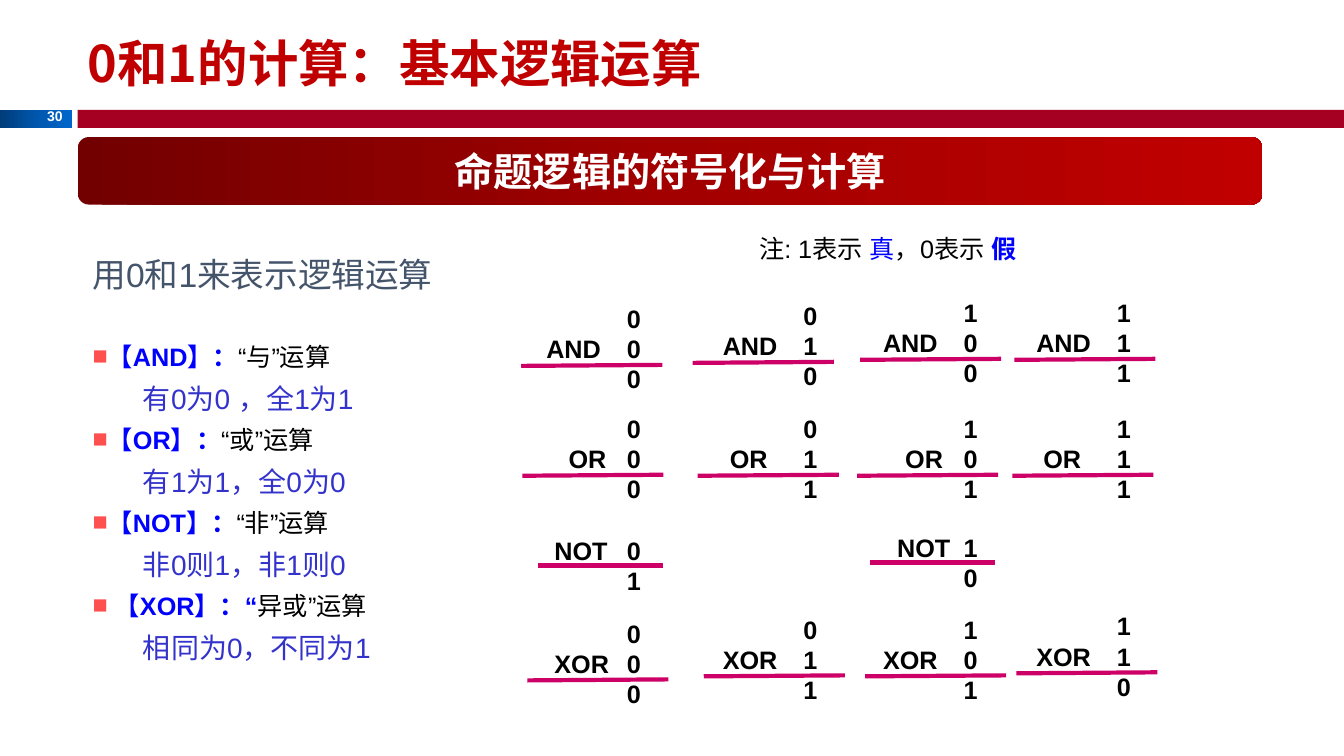
from copy import deepcopy

from lxml import etree
from pptx import Presentation
from pptx.dml.color import RGBColor
from pptx.enum.shapes import MSO_CONNECTOR, MSO_SHAPE
from pptx.enum.text import MSO_ANCHOR, MSO_AUTO_SIZE, PP_ALIGN
from pptx.oxml.ns import qn
from pptx.util import Inches, Pt

RECTANGLE, ROUNDED = MSO_SHAPE.RECTANGLE, MSO_SHAPE.ROUNDED_RECTANGLE
STRAIGHT = MSO_CONNECTOR.STRAIGHT
TOP, MIDDLE = MSO_ANCHOR.TOP, MSO_ANCHOR.MIDDLE
LEFT, CENTER, RIGHT = PP_ALIGN.LEFT, PP_ALIGN.CENTER, PP_ALIGN.RIGHT
NO_AUTOFIT = MSO_AUTO_SIZE.NONE

BLACK = RGBColor(0, 0, 0)
WHITE = RGBColor(0xFF, 0xFF, 0xFF)
RED = RGBColor(0xC0, 0, 0)
CRIMSON = RGBColor(0xA5, 0, 0x21)
BLUE = RGBColor(0, 0, 0xFF)
VIOLET = RGBColor(0x33, 0x33, 0xCC)
SLATE = RGBColor(0x44, 0x54, 0x6A)
MAGENTA = RGBColor(0xCC, 0, 0x66)
BULLET_RED = "FF5050"
BLUE_BLEND = (RGBColor(0, 0x3C, 0x79), RGBColor(0, 0x56, 0xAC), RGBColor(0, 0x66, 0xCC))
RED_BLEND = (RGBColor(0x72, 0, 0), RGBColor(0xA2, 0, 0), RED)

BODY_FONT, HEADING_FONT = "Arial", "Noto Sans CJK SC"

# Heading and rule of each operation: bold part, plain part, rule
RULES = [
    ("【AND】：", "“与”运算", "有0为0 ，全1为1"),
    ("【OR】：", "“或”运算", "有1为1，全0为0"),
    ("【NOT】：", "“非”运算", "非0则1，非1则0"),
    (" 【XOR】：“", "异或”运算", "相同为0，不同为1"),
]

# Operands and left edge of each column of calculations
COLUMNS = [(0, 0, 5.12), (0, 1, 6.87), (1, 0, 8.46), (1, 1, 9.98)]
# Operator, function, then per calculation: column, top, operator indent, line left
OPERATIONS = [
    ("AND", lambda a, b: a & b, [(0, 2.96, 0.2, 5.17), (1, 2.93, 0.2, 6.87),
                                 (2, 2.9, 0.2, 8.53), (3, 2.9, 0.2, 10.06)]),
    ("OR", lambda a, b: a | b, [(0, 4.05, 0.42, 5.18), (1, 4.05, 0.27, 6.92),
                                (2, 4.05, 0.42, 8.5), (3, 4.05, 0.27, 10.04)]),
    ("NOT", lambda a, b: 1 - a, [(0, 5.26, 0.28, 5.34), (2, 5.23, 0.34, 8.63)]),
    ("XOR", lambda a, b: a ^ b, [(0, 6.08, 0.28, 5.23), (1, 6.04, 0.2, 6.98),
                                 (2, 6.04, 0.2, 8.58), (3, 6.01, 0.2, 10.08)]),
]


def add_run(paragraph, text, size, color, bold=False, font=BODY_FONT):
    run = paragraph.add_run()
    run.text = text
    run.font.size, run.font.bold, run.font.name = Pt(size), bold, font
    run.font.color.rgb = color
    east_asian = etree.SubElement(run.font._element, qn("a:ea"))
    east_asian.set("typeface", font)


def next_paragraph(frame):
    first = frame.paragraphs[0]
    return frame.add_paragraph() if first.runs else first


def set_bullet(paragraph):
    properties = paragraph._p.get_or_add_pPr()
    properties.set("marL", "0")
    properties.set("indent", "0")
    color = etree.SubElement(properties, qn("a:buClr"))
    etree.SubElement(color, qn("a:srgbClr")).set("val", BULLET_RED)
    etree.SubElement(properties, qn("a:buFont")).set("typeface", BODY_FONT)
    etree.SubElement(properties, qn("a:buChar")).set("char", "■")


def set_tabs(paragraph, *positions):
    tabs = etree.SubElement(paragraph._p.get_or_add_pPr(), qn("a:tabLst"))
    for position in positions:
        etree.SubElement(tabs, qn("a:tab"), pos=str(Inches(position)), algn="l")


def format_frame(frame, anchor=TOP):
    frame.word_wrap, frame.auto_size = True, NO_AUTOFIT
    frame.vertical_anchor = anchor


def add_text_box(shapes, left, top, width, height):
    box = shapes.add_textbox(Inches(left), Inches(top), Inches(width), Inches(height))
    format_frame(box.text_frame)
    return box.text_frame


def add_block(slide, kind, left, top, width, height, colors):
    """Add a plain block, or a left-to-right blend of three colours."""
    shape = slide.shapes.add_shape(kind, Inches(left), Inches(top), Inches(width), Inches(height))
    shape.shadow.inherit = False
    shape.line.fill.background()
    if len(colors) == 1:
        shape.fill.solid()
        shape.fill.fore_color.rgb = colors[0]
        return shape
    shape.fill.gradient()
    shape.fill.gradient_angle = 0
    stops = shape._element.spPr.find(qn("a:gradFill")).find(qn("a:gsLst"))
    stops.append(deepcopy(stops[0]))
    for stop, position, color in zip(shape.fill.gradient_stops, (0, 0.5, 1), colors):
        stop.position = position
        stop.color.rgb = color
    return shape


def add_title(slide, left, top, width, height):
    title = slide.shapes.title
    title.left, title.top = Inches(left), Inches(top)
    title.width, title.height = Inches(width), Inches(height)
    format_frame(title.text_frame, MIDDLE)
    paragraph = title.text_frame.paragraphs[0]
    paragraph.alignment = LEFT
    add_run(paragraph, "0和1的计算：基本逻辑运算", 36, RED, True, HEADING_FONT)


def add_header_bar(slide, top, height):
    add_block(slide, RECTANGLE, 0, top, 0.71, height, BLUE_BLEND)
    add_block(slide, RECTANGLE, 0.77, top, 12.56, height, [CRIMSON])
    paragraph = add_text_box(slide.shapes, 0.2, top - 0.07, 0.52, 0.27).paragraphs[0]
    paragraph.alignment = RIGHT
    add_run(paragraph, "30", 10, WHITE, True)


def add_banner(slide, left, top, width, height):
    banner = add_block(slide, ROUNDED, left, top, width, height, RED_BLEND)
    format_frame(banner.text_frame, MIDDLE)
    paragraph = banner.text_frame.paragraphs[0]
    paragraph.alignment = CENTER
    add_run(paragraph, "命题逻辑的符号化与计算", 28, WHITE, True, HEADING_FONT)


def add_rules(slide, left, top, width, height):
    frame = add_text_box(slide.shapes, left, top, width, height)
    intro = next_paragraph(frame)
    intro.line_spacing, intro.space_after = 1.3, Pt(27)
    add_run(intro, "用0和1来表示逻辑运算", 24, SLATE)
    for name, meaning, rule in RULES:
        heading = next_paragraph(frame)
        heading.line_spacing = 1.3
        set_bullet(heading)
        add_run(heading, name, 18, BLUE, True)
        add_run(heading, meaning, 18, BLACK)
        detail = next_paragraph(frame)
        detail.level, detail.line_spacing = 1, 1.3
        detail._p.get_or_add_pPr().set("marL", str(Inches(0.5)))
        detail._p.get_or_add_pPr().set("indent", "0")
        add_run(detail, rule, 20, VIOLET)


def add_note(slide, left, top, width, height):
    paragraph = add_text_box(slide.shapes, left, top, width, height).paragraphs[0]
    add_run(paragraph, "注: 1表示 ", 18, BLACK)
    add_run(paragraph, "真", 18, BLUE)
    add_run(paragraph, "，0表示 ", 18, BLACK)
    add_run(paragraph, "假", 18, BLUE, True)


def add_calculation(shapes, left, top, operator, operands, result, indent, line_left):
    """Stack operands, operator and result, with a line above the result."""
    unary = len(operands) == 1
    frame = add_text_box(shapes, left, top, 1.35, 0.71 if unary else 1.01)
    for digit in operands[:-1]:
        paragraph = next_paragraph(frame)
        set_tabs(paragraph, 1)
        add_run(paragraph, f"\t{digit}", 18, BLACK, True)
    paragraph = next_paragraph(frame)
    set_tabs(paragraph, indent, 1)
    add_run(paragraph, f"\t{operator}\t{operands[-1]}", 18, BLACK, True)
    paragraph = next_paragraph(frame)
    set_tabs(paragraph, 1)
    add_run(paragraph, f"\t{result}", 18, BLACK, True)

    line_top, length, slope = (0.35, 1.24, 0) if unary else (0.66, 1.4, 0.01)
    line = shapes.add_connector(
        STRAIGHT, Inches(line_left), Inches(top + line_top + slope),
        Inches(line_left + length), Inches(top + line_top))
    line.line.color.rgb, line.line.width = MAGENTA, Pt(3)
    etree.SubElement(line._element.spPr, qn("a:effectLst"))


def add_operation(slide, operator, function, calculations):
    group = slide.shapes.add_group_shape()
    for column, top, indent, line_left in calculations:
        first, second, left = COLUMNS[column]
        operands = [first] if operator == "NOT" else [first, second]
        add_calculation(group.shapes, left, top, operator, operands,
                        function(first, second), indent, line_left)


def main():
    presentation = Presentation()
    presentation.slide_width, presentation.slide_height = Inches(13.33), Inches(7.5)
    slide = presentation.slides.add_slide(presentation.slide_layouts[5])
    add_title(slide, 0.77, 0.2, 11.67, 0.83)
    add_header_bar(slide, 1.09, 0.18)
    add_banner(slide, 0.77, 1.36, 11.75, 0.67)
    add_rules(slide, 0.82, 2.35, 3.73, 4.48)
    add_note(slide, 7.43, 2.27, 2.78, 0.4)
    for operation in OPERATIONS:
        add_operation(slide, *operation)
    presentation.save("out.pptx")


if __name__ == "__main__":
    main()
